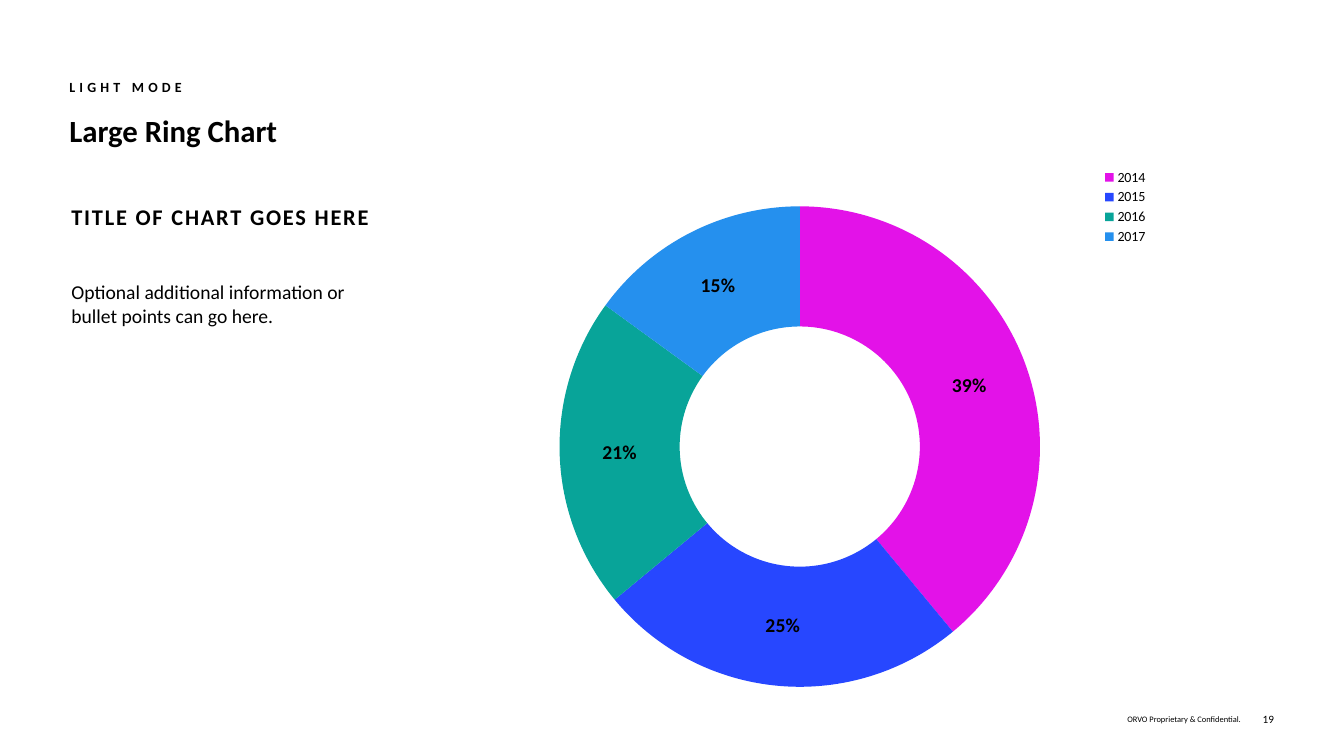
from lxml import etree
from pptx import Presentation
from pptx.chart.data import CategoryChartData
from pptx.dml.color import RGBColor
from pptx.enum.chart import XL_CHART_TYPE, XL_LEGEND_POSITION
from pptx.enum.text import MSO_ANCHOR, PP_ALIGN
from pptx.oxml.ns import qn
from pptx.util import Cm, Pt

DOUGHNUT = XL_CHART_TYPE.DOUGHNUT
CORNER = XL_LEGEND_POSITION.CORNER
TOP, MIDDLE = MSO_ANCHOR.TOP, MSO_ANCHOR.MIDDLE
LEFT, RIGHT = PP_ALIGN.LEFT, PP_ALIGN.RIGHT

FONT = "Calibri"
BLACK = RGBColor(0x00, 0x00, 0x00)
FOOTER_BLACK = RGBColor(0x01, 0x00, 0x00)
MAGENTA = RGBColor(0xE3, 0x12, 0xE8)
BLUE = RGBColor(0x27, 0x47, 0xFF)
TEAL = RGBColor(0x08, 0xA4, 0x99)
SKY = RGBColor(0x25, 0x90, 0xEE)

YEARS = [("2014", 39, MAGENTA), ("2015", 25, BLUE), ("2016", 21, TEAL), ("2017", 15, SKY)]
HOLE_SIZE = 75
PLOT_FRAME = {"x": 0.156, "y": 0.07, "w": 0.687, "h": 0.822}
LEGEND_FRAME = {"x": 0.9, "y": 0.07, "w": 0.09, "h": 0.16}


def set_font(font, size, bold=False, color=BLACK):
    font.name = FONT
    font.size = Pt(size)
    font.bold = bold
    font.color.rgb = color


def add_text(slide, box, text, size, bold=False, color=BLACK, spacing=0,
             align=LEFT, anchor=TOP, padded=False, line_spacing=None):
    shape = slide.shapes.add_textbox(*(Cm(length) for length in box))
    frame = shape.text_frame
    frame.word_wrap = True
    frame.vertical_anchor = anchor
    frame.margin_left = 0
    frame.margin_right = Cm(0.25 if padded else 0)
    frame.margin_top = frame.margin_bottom = Cm(0.13 if padded else 0)
    frame.text = text
    paragraph = frame.paragraphs[0]
    paragraph.alignment = align
    if line_spacing:
        paragraph.line_spacing = line_spacing
    run = paragraph.runs[0]
    set_font(run.font, size, bold, color)
    if spacing:
        run.font._element.set("spc", str(round(spacing * 100)))


def add_header(slide, box):
    left, top, width, height = box
    add_text(slide, (left, top, 10.08, 0.64), "LIGHT MODE", 10, bold=True, spacing=3)
    add_text(slide, (left, top + 0.84, width, height - 0.84), "Large Ring Chart", 22, bold=True)


def add_description(slide, box):
    left, top, width, height = box
    add_text(slide, (left, top, width, 1.17), "TITLE OF CHART GOES HERE", 16,
             bold=True, spacing=1.3, padded=True, line_spacing=1.5)
    add_text(slide, (left, top + 2.28, 7.44, height - 2.28),
             "Optional additional information or bullet points can go here.", 14, padded=True)


def manual_layout(frame, inner=False):
    layout = etree.Element(qn("c:layout"))
    manual = etree.SubElement(layout, qn("c:manualLayout"))
    settings = [("layoutTarget", "inner")] if inner else []
    settings += [("xMode", "edge"), ("yMode", "edge"), *frame.items()]
    for name, value in settings:
        etree.SubElement(manual, qn(f"c:{name}")).set("val", str(value))
    return layout


def add_ring_chart(slide, box):
    data = CategoryChartData()
    data.categories = [year for year, _, _ in YEARS]
    data.add_series("Series 1", [share for _, share, _ in YEARS])
    chart = slide.shapes.add_chart(DOUGHNUT, *(Cm(length) for length in box), data).chart
    chart.has_title = False
    set_font(chart.font, 10)

    plot = chart.plots[0]
    plot.vary_by_categories = True
    series = plot.series[0]
    for index, (_, _, color) in enumerate(YEARS):
        point_format = series.points[index].format
        point_format.fill.solid()
        point_format.fill.fore_color.rgb = color
        point_format.line.fill.background()

    labels = series.data_labels
    labels.show_value = False
    labels.show_percentage = True
    labels.number_format = "0%"
    labels.number_format_is_linked = False
    set_font(labels.font, 14, bold=True)

    chart.has_legend = True
    legend = chart.legend
    legend.position = CORNER
    legend.include_in_layout = True
    set_font(legend.font, 10)

    chart_space = chart._chartSpace
    chart_space.find(".//" + qn("c:holeSize")).set("val", str(HOLE_SIZE))
    chart_space.find(".//" + qn("c:legendPos")).addnext(manual_layout(LEGEND_FRAME))
    plot_area = chart_space.find(".//" + qn("c:plotArea"))
    for layout in plot_area.findall(qn("c:layout")):
        plot_area.remove(layout)
    plot_area.insert(0, manual_layout(PLOT_FRAME, inner=True))


def add_footer(slide, box):
    left, top, width, height = box
    number_width = 0.69
    add_text(slide, (left, top, 4.78, height), "ORVO Proprietary & Confidential.", 6,
             color=FOOTER_BLACK, align=RIGHT, anchor=MIDDLE)
    add_text(slide, (left + width - number_width, top, number_width, height), "19", 8,
             color=FOOTER_BLACK, align=RIGHT, anchor=MIDDLE)


def main():
    presentation = Presentation()
    presentation.slide_width = Cm(33.87)
    presentation.slide_height = Cm(19.05)
    slide = presentation.slides.add_slide(presentation.slide_layouts[6])
    add_footer(slide, (26.49, 17.81, 5.62, 0.61))
    add_header(slide, (1.75, 1.98, 30.35, 1.78))
    add_ring_chart(slide, (11.35, 4.17, 17.63, 14.73))
    add_description(slide, (1.8, 4.65, 10.19, 7.87))
    presentation.save("out.pptx")


if __name__ == "__main__":
    main()
